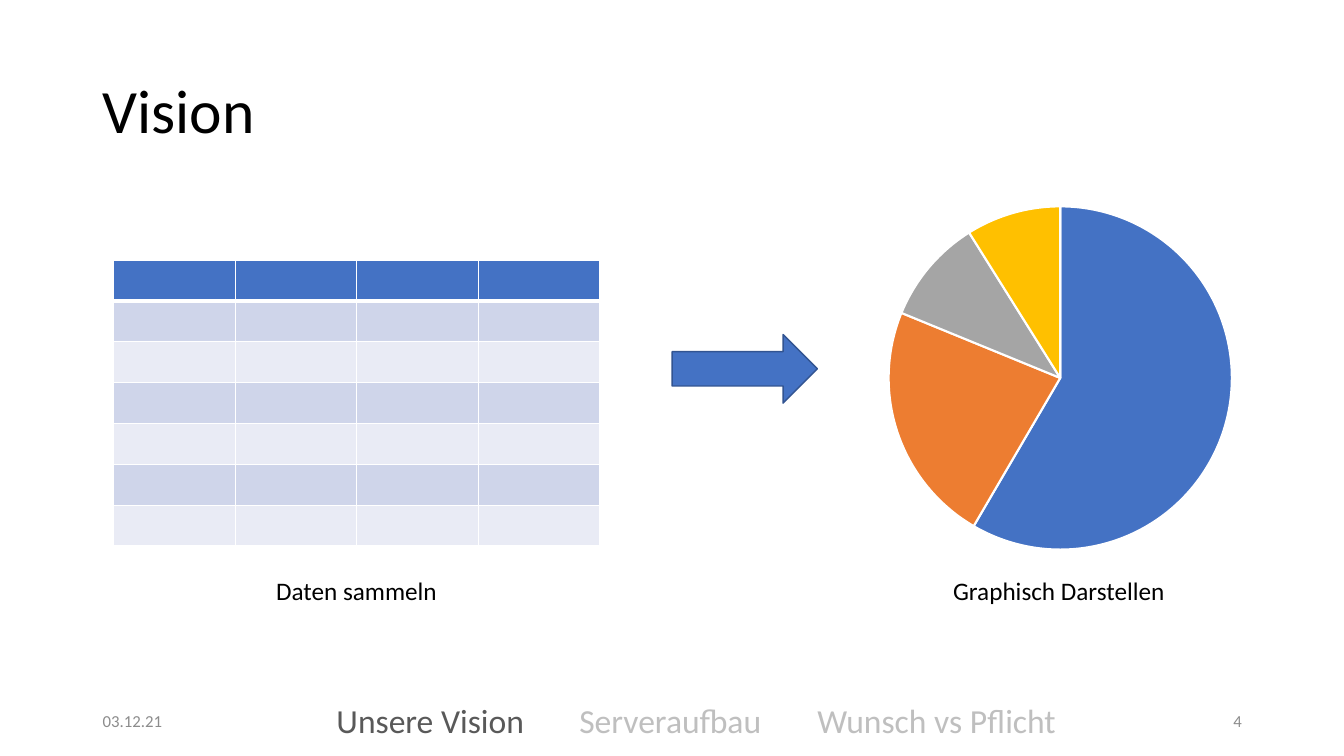
from lxml import etree
from pptx import Presentation
from pptx.chart.data import CategoryChartData
from pptx.dml.color import RGBColor
from pptx.enum.chart import XL_CHART_TYPE
from pptx.enum.shapes import MSO_SHAPE
from pptx.enum.text import MSO_ANCHOR, PP_ALIGN
from pptx.oxml.ns import qn
from pptx.util import Cm, Pt

PIE = XL_CHART_TYPE.PIE
RIGHT_ARROW = MSO_SHAPE.RIGHT_ARROW
TOP, MIDDLE = MSO_ANCHOR.TOP, MSO_ANCHOR.MIDDLE
LEFT, RIGHT = PP_ALIGN.LEFT, PP_ALIGN.RIGHT

FONT = "Calibri"
BLACK, WHITE, BLUE = "000000", "FFFFFF", "4472C4"
FOOTER_GRAY, ACTIVE_GRAY, INACTIVE_GRAY = "8C8C8C", "595959", "BFBFBF"
BAND_COLORS = ["E9EBF5", "CFD5EA"]
SLICES = [("1", 59, BLUE), ("2", 23, "ED7D31"), ("3", 10, "A5A5A5"), ("4", 9, "FFC000")]
SECTIONS = [
    ("Unsere Vision", 8.23, 5.28, ACTIVE_GRAY),
    ("Serveraufbau", 14.35, 5.16, INACTIVE_GRAY),
    ("Wunsch vs Pflicht", 20.35, 6.58, INACTIVE_GRAY),
]
ROWS, COLUMNS = 7, 4


def rgb(color):
    return RGBColor.from_string(color)


def place(left, top, width, height):
    return Cm(left), Cm(top), Cm(width), Cm(height)


def paint(fill, color):
    fill.solid()
    fill.fore_color.rgb = rgb(color)


def add_text(page, text, area, size, color, anchor=TOP, align=LEFT, wrap=False):
    box = page.shapes.add_textbox(*place(*area))
    frame = box.text_frame
    frame.text = text
    frame.word_wrap = wrap
    frame.vertical_anchor = anchor
    para = frame.paragraphs[0]
    para.alignment = align
    font = para.runs[0].font
    font.name = FONT
    font.size = Pt(size)
    font.color.rgb = rgb(color)
    return para


def add_border(cell, side, width):
    properties = cell._tc.get_or_add_tcPr()
    line = etree.SubElement(properties, qn(f"a:ln{side}"), w=str(Pt(width)))
    solid = etree.SubElement(line, qn("a:solidFill"))
    etree.SubElement(solid, qn("a:srgbClr"), val=WHITE)


def add_data_table(page):
    area = place(2.87, 6.55, 12.24, 7.21)
    table = page.shapes.add_table(ROWS, COLUMNS, *area).table
    for column in table.columns:
        column.width = Cm(3.06)
    for index, row in enumerate(table.rows):
        row.height = Cm(1.03)
        color = BAND_COLORS[index % 2] if index else BLUE
        for cell in row.cells:
            for side in "LRTB":
                header_edge = (index, side) in [(0, "B"), (1, "T")]
                add_border(cell, side, 3 if header_edge else 1)
            paint(cell.fill, color)


def add_arrow(page):
    arrow = page.shapes.add_shape(RIGHT_ARROW, *place(16.94, 8.43, 3.66, 1.73))
    arrow.shadow.inherit = False
    paint(arrow.fill, BLUE)
    arrow.line.color.rgb = rgb("325491")
    arrow.line.width = Pt(1)


def add_pie(page):
    data = CategoryChartData()
    data.categories = [name for name, _, _ in SLICES]
    data.add_series("Series 1", [value for _, value, _ in SLICES])
    chart = page.shapes.add_chart(PIE, *place(20.6, 4.85, 12.24, 9.35), data).chart
    chart.has_title = False
    chart.has_legend = False
    chart.font.name = FONT
    chart.font.size = Pt(10)
    chart.font.color.rgb = rgb(BLACK)
    plot = chart.plots[0]
    plot.vary_by_categories = True
    for index, (_, _, color) in enumerate(SLICES):
        style = plot.series[0].points[index].format
        paint(style.fill, color)
        style.line.color.rgb = rgb(WHITE)
        style.line.width = Pt(1.5)


def main():
    deck = Presentation()
    deck.slide_width, deck.slide_height = Cm(33.87), Cm(19.05)
    page = deck.slides.add_slide(deck.slide_layouts[6])

    title = add_text(page, "Vision", (2.34, 1.02, 29.21, 3.68), 44, BLACK, MIDDLE, wrap=True)
    title.line_spacing = 0.9

    add_data_table(page)
    add_arrow(page)
    add_pie(page)
    add_text(page, "Daten sammeln", (6.71, 14.38, 4.6, 1.02), 18, BLACK)
    add_text(page, "Graphisch Darstellen", (23.77, 14.38, 5.89, 1.02), 18, BLACK)

    for text, left, align in [("03.12.21", 2.34, LEFT), ("4", 23.93, RIGHT)]:
        area = (left, 17.65, 7.62, 1.02)
        add_text(page, text, area, 12, FOOTER_GRAY, MIDDLE, align, wrap=True)
    for text, left, width, color in SECTIONS:
        add_text(page, text, (left, 17.5, width, 1.27), 24, color)

    deck.save("out.pptx")


if __name__ == "__main__":
    main()
